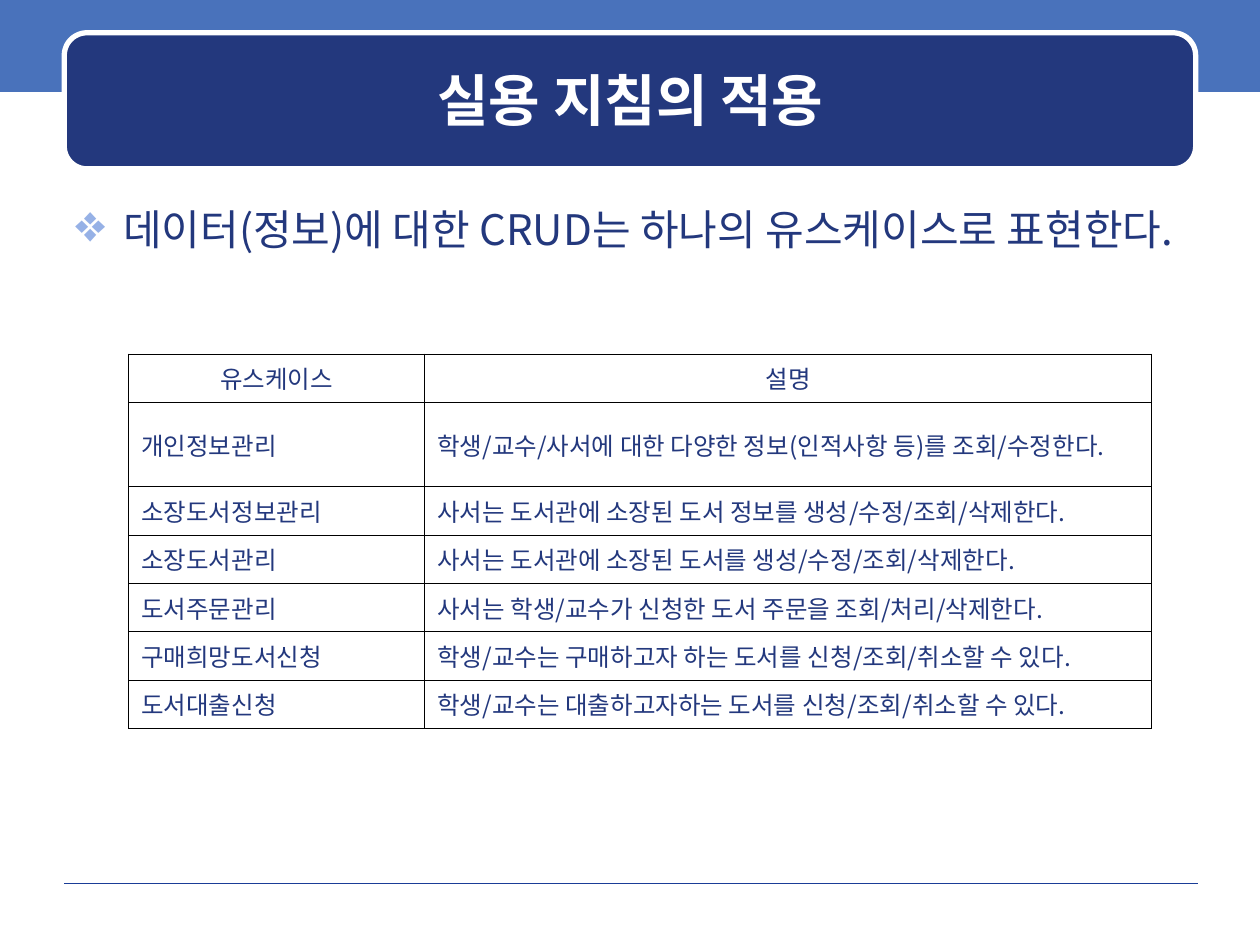
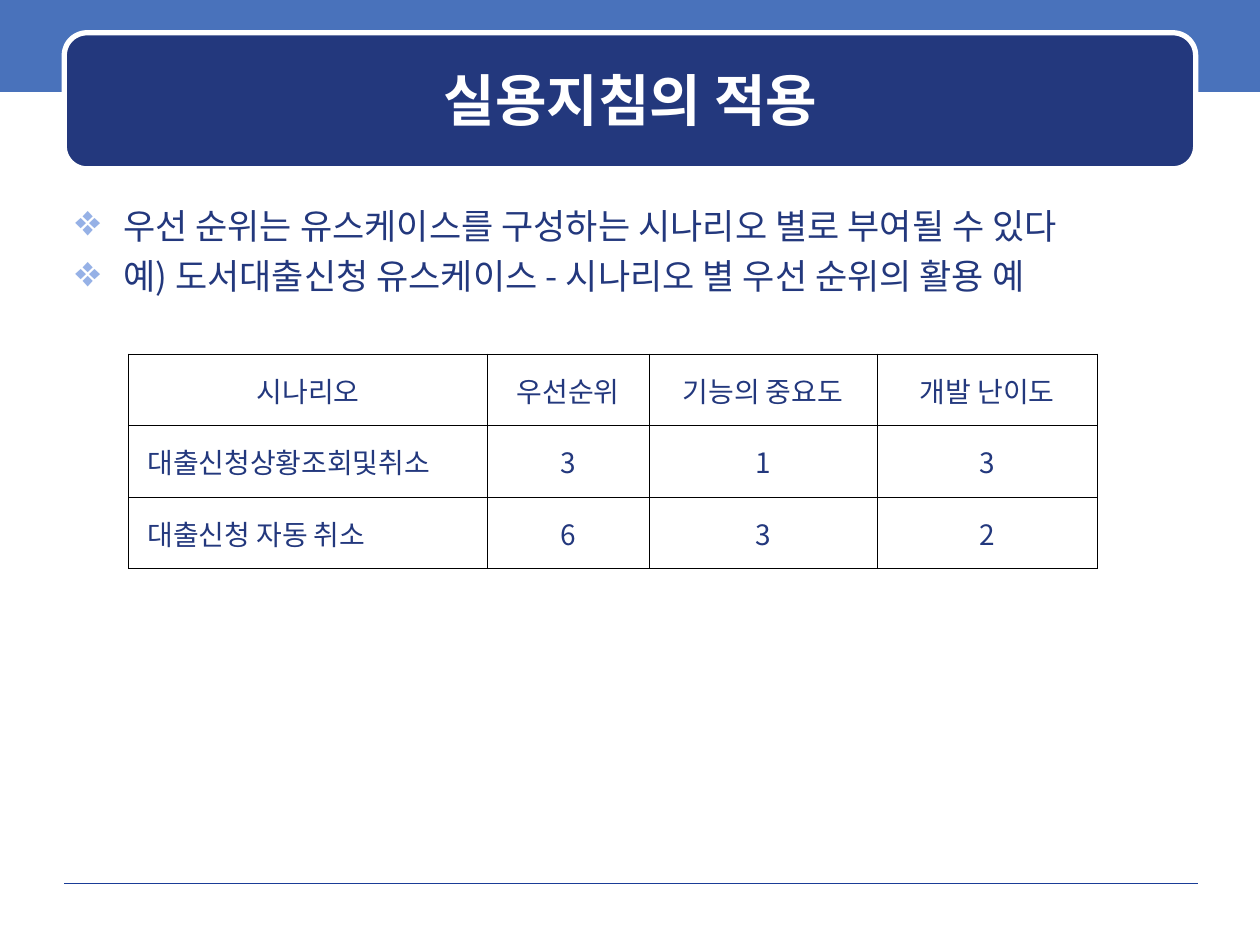
import pptx
import pptx.util
import pptx.dml.color
import pptx.enum.shapes
import pptx.enum.text
import pptx.oxml.ns
import lxml.etree

RGBColor = pptx.dml.color.RGBColor
ALIGN = pptx.enum.text.PP_ALIGN
MIDDLE = pptx.enum.text.MSO_ANCHOR.MIDDLE
SHAPE = pptx.enum.shapes.MSO_SHAPE
qn = pptx.oxml.ns.qn

NAVY = RGBColor(0x23, 0x38, 0x7D)
BAND_BLUE = RGBColor(0x49, 0x72, 0xBB)
RULE_BLUE = RGBColor(0x1A, 0x3D, 0x97)
BULLET_BLUE = RGBColor(0x96, 0xB1, 0xE6)
BLACK = RGBColor(0x00, 0x00, 0x00)
WHITE = RGBColor(0xFF, 0xFF, 0xFF)
FONT = "Noto Sans CJK KR"

SLIDE_WIDTH = pptx.util.Inches(10)
SLIDE_HEIGHT = pptx.util.Inches(7.5)
GRID_COLUMNS, GRID_ROWS = 100, 75

CRUD_USE_CASES = [
    ("유스케이스", "설명"),
    ("개인정보관리", "학생/교수/사서에 대한 다양한 정보(인적사항 등)를 조회/수정한다."),
    ("소장도서정보관리", "사서는 도서관에 소장된 도서 정보를 생성/수정/조회/삭제한다."),
    ("소장도서관리", "사서는 도서관에 소장된 도서를 생성/수정/조회/삭제한다."),
    ("도서주문관리", "사서는 학생/교수가 신청한 도서 주문을 조회/처리/삭제한다."),
    ("구매희망도서신청", "학생/교수는 구매하고자 하는 도서를 신청/조회/취소할 수 있다."),
    ("도서대출신청", "학생/교수는 대출하고자하는 도서를 신청/조회/취소할 수 있다."),
]
SCENARIO_PRIORITIES = [
    ("시나리오", "우선순위", "기능의 중요도", "개발 난이도"),
    ("대출신청상황조회및취소", "3", "1", "3"),
    ("대출신청 자동 취소", "6", "3", "2"),
]


def across(columns):
    """Return the width of a number of grid columns."""
    return round(SLIDE_WIDTH * columns / GRID_COLUMNS)


def down(rows):
    """Return the height of a number of grid rows."""
    return round(SLIDE_HEIGHT * rows / GRID_ROWS)


def area(left, top, width, height):
    """Turn grid units into a position and a size."""
    return across(left), down(top), across(width), down(height)


def add_run(paragraph, text, size, color=NAVY, bold=False):
    """Add one run in the deck's font, without pair kerning."""
    run = paragraph.add_run()
    run.text = text
    run.font.size = pptx.util.Pt(size)
    run.font.bold = bold
    run.font.color.rgb = color
    run.font.name = FONT
    properties = run.font._element
    properties.set("kern", "0")
    lxml.etree.SubElement(properties, qn("a:ea")).set("typeface", FONT)


def add_panel(slide, kind, place, fill, outline=None):
    """Add a flat filled shape, with a 3 pt outline if a colour is given."""
    panel = slide.shapes.add_shape(kind, *area(*place))
    panel.shadow.inherit = False
    panel.fill.solid()
    panel.fill.fore_color.rgb = fill
    if outline is None:
        panel.line.fill.background()
    else:
        panel.line.color.rgb = outline
        panel.line.width = pptx.util.Pt(3)


def add_footer_rule(slide):
    """Draw the hairline above the footer."""
    rule = slide.shapes.add_connector(
        pptx.enum.shapes.MSO_CONNECTOR.STRAIGHT,
        across(5.1), down(70.1), across(95.1), down(70.1))
    rule.line.color.rgb = RULE_BLUE
    rule.line.width = pptx.util.Pt(0.25)
    lxml.etree.SubElement(rule._element.spPr, qn("a:effectLst"))


def add_text_frame(slide, place):
    """Add a wrapping text box and return its frame."""
    frame = slide.shapes.add_textbox(*area(*place)).text_frame
    frame.word_wrap = True
    return frame


def add_titled_slide(deck, title):
    """Add a slide with the shared band, title panel and footer rule."""
    slide = deck.slides.add_slide(deck.slide_layouts[6])
    add_panel(slide, SHAPE.RECTANGLE, (0, -0.3, 100, 7.6), BAND_BLUE)
    add_footer_rule(slide)
    add_panel(slide, SHAPE.ROUNDED_RECTANGLE, (5.1, 2.6, 89.8, 10.8), NAVY, WHITE)
    heading = add_text_frame(slide, (6, 3.5, 88.1, 8.8))
    heading.vertical_anchor = MIDDLE
    heading.paragraphs[0].alignment = ALIGN.CENTER
    add_run(heading.paragraphs[0], title, 32, WHITE, True)
    return slide


def set_bullet(paragraph):
    """Give a paragraph a hanging diamond bullet."""
    properties = paragraph._p.get_or_add_pPr()
    hang = pptx.util.Inches(0.38)
    properties.set("marL", str(hang))
    properties.set("indent", str(-hang))
    tint = lxml.etree.SubElement(properties, qn("a:buClr"))
    lxml.etree.SubElement(tint, qn("a:srgbClr")).set("val", str(BULLET_BLUE))
    lxml.etree.SubElement(properties, qn("a:buSzPct")).set("val", "125000")
    lxml.etree.SubElement(properties, qn("a:buChar")).set("char", "❖")


def add_guidelines(slide, guidelines, size):
    """Write the bulleted guidelines under the title."""
    body = add_text_frame(slide, (5, 15.7, 90, 53.3))
    for index, guideline in enumerate(guidelines):
        paragraph = body.add_paragraph() if index else body.paragraphs[0]
        set_bullet(paragraph)
        if index:
            paragraph.space_before = pptx.util.Pt(5)
        add_run(paragraph, guideline, size)


def set_borders(cell):
    """Draw thin black borders on all sides of a cell."""
    properties = cell._tc.get_or_add_tcPr()
    for side in ("lnL", "lnR", "lnT", "lnB"):
        border = lxml.etree.SubElement(properties, qn(f"a:{side}"))
        border.set("w", str(pptx.util.Pt(0.45)))
        fill = lxml.etree.SubElement(border, qn("a:solidFill"))
        lxml.etree.SubElement(fill, qn("a:srgbClr")).set("val", str(BLACK))


def fill_cell(cell, text, size, side_margin, alignment):
    """Style one table cell and write its text."""
    set_borders(cell)
    cell.fill.background()
    cell.vertical_anchor = MIDDLE
    cell.margin_left = cell.margin_right = pptx.util.Inches(side_margin)
    cell.margin_top = cell.margin_bottom = pptx.util.Inches(0.05)
    paragraph = cell.text_frame.paragraphs[0]
    paragraph.alignment = alignment
    add_run(paragraph, text, size)


def add_ruled_table(slide, records, widths, heights, size, side_margin, centred_from):
    """Add a ruled table; headings and columns from centred_from on are centred."""
    place = area(10.2, 28.1, sum(widths), sum(heights))
    table = slide.shapes.add_table(len(heights), len(widths), *place).table
    table.first_row = table.horz_banding = False
    for column, width in zip(table.columns, widths):
        column.width = across(width)
    for row, height in zip(table.rows, heights):
        row.height = down(height)
    for row_index, record in enumerate(records):
        for column_index, text in enumerate(record):
            centred = row_index == 0 or column_index >= centred_from
            fill_cell(table.cell(row_index, column_index), text, size, side_margin,
                      ALIGN.CENTER if centred else ALIGN.JUSTIFY)


def main():
    """Build the two slides and save them."""
    deck = pptx.Presentation()
    deck.slide_width, deck.slide_height = SLIDE_WIDTH, SLIDE_HEIGHT

    crud = add_titled_slide(deck, "실용 지침의 적용")
    add_guidelines(crud, ["데이터(정보)에 대한 CRUD는 하나의 유스케이스로 표현한다."], 24)
    add_ruled_table(crud, CRUD_USE_CASES, [23.5, 57.7], [3.84, 6.68] + [3.84] * 5,
                    14, 0.1, centred_from=2)

    priorities = add_titled_slide(deck, "실용지침의 적용")
    add_guidelines(priorities, [
        "우선 순위는 유스케이스를 구성하는 시나리오 별로 부여될 수 있다",
        "예) 도서대출신청 유스케이스 - 시나리오 별 우선 순위의 활용 예",
    ], 20)
    add_ruled_table(priorities, SCENARIO_PRIORITIES, [28.5, 12.8, 18.1, 17.5], [5.68] * 3,
                    16, 0.15, centred_from=1)

    deck.save("out.pptx")


if __name__ == "__main__":
    main()
